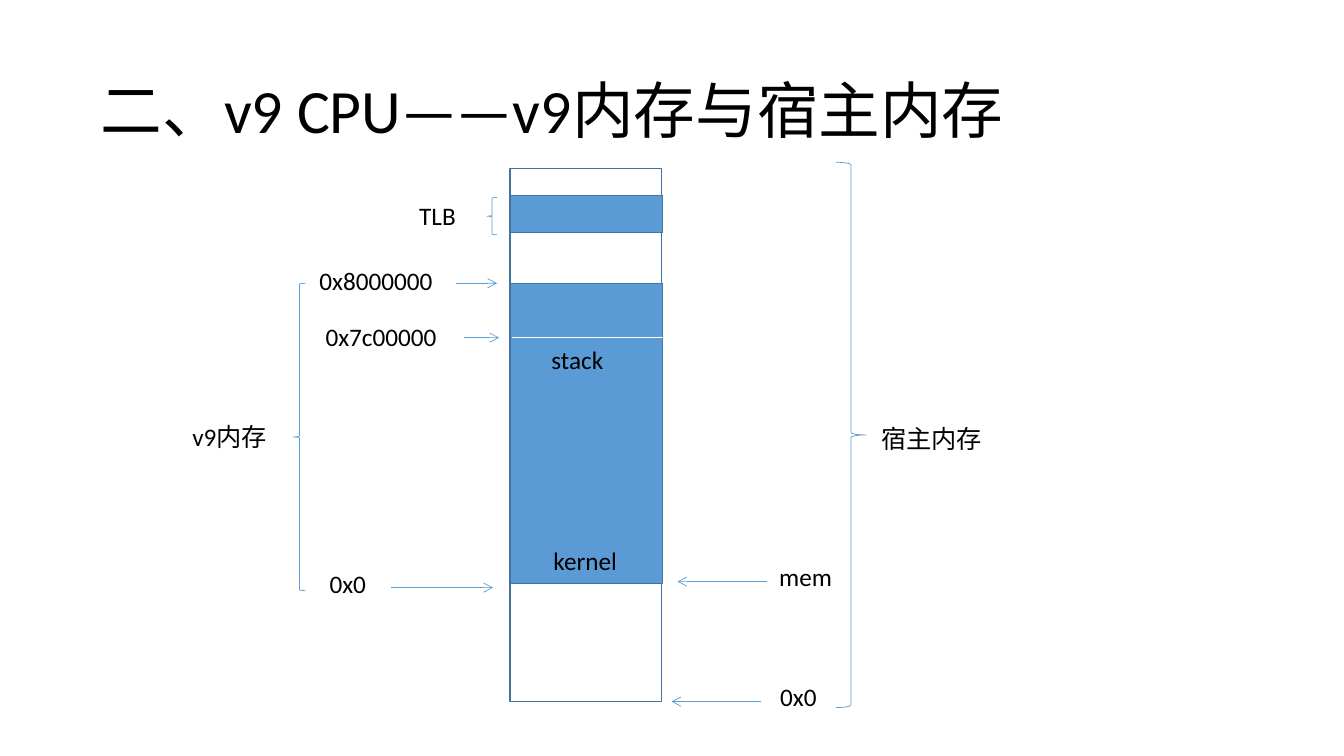
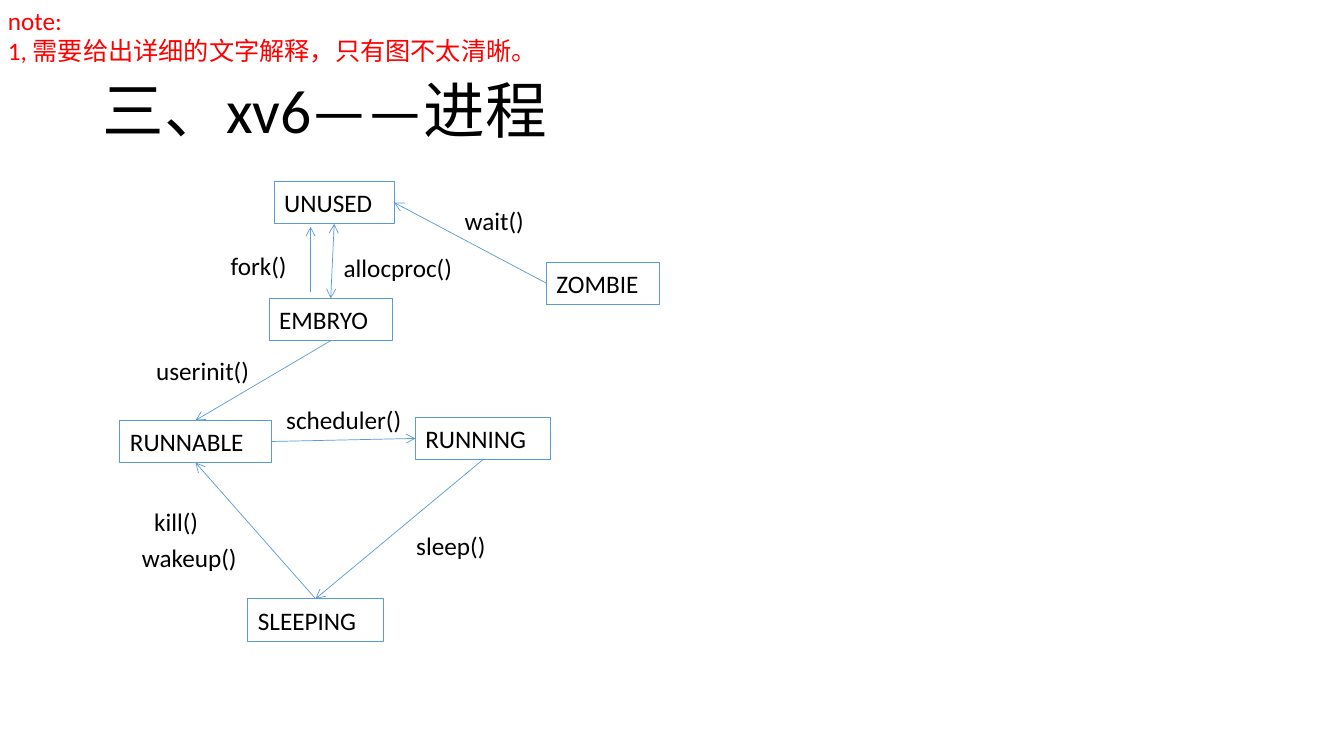
from pptx import Presentation
from pptx.dml.color import RGBColor
from pptx.enum import shapes as es, text as et
from pptx.oxml import parse_xml
from pptx.oxml.ns import nsdecls
from pptx.util import Inches, Pt

BLUE = RGBColor(0x5B, 0x9B, 0xD5)
NAVY = RGBColor(0x43, 0x73, 0x9E)
BLACK = RGBColor(0, 0, 0)
WHITE = RGBColor(255, 255, 255)
RED = RGBColor(255, 0, 0)
FORM = es.MSO_SHAPE
TOP, LEFT, BOTTOM, RIGHT = range(4)  # connection sites of a rectangle
ROW = 0.42                           # height of a one-line text

TITLE = dict(name="Calibri", size=Pt(44))
BODY = dict(name="Calibri", size=Pt(18))
FRAME = dict(word_wrap=True, auto_size=et.MSO_AUTO_SIZE.NONE)

# Slide 1: memory map
MAP_TITLE = "二、v9 CPU——v9内存与宿主内存"
BLOCKS = [  # left, top, width, height, fill
    (5.06, 1.67, 1.5, 5.29, None),
    (5.06, 2.81, 1.51, 2.98, BLUE),
    (5.06, 1.94, 1.51, 0.37, BLUE),
]
BRACES = [
    (FORM.RIGHT_BRACE, 8.29, 1.61, 0.3, 5.41),
    (FORM.LEFT_BRACE, 4.83, 1.96, 0.1, 0.37),
    (FORM.LEFT_BRACE, 2.91, 2.81, 0.12, 3.05),
]
MAP_TEXT = [  # text, left, top, width
    ("宿主内存", 8.64, 4.15, 1.3),
    ("v9内存", 1.81, 4.13, 0.97),
    ("0x8000000", 3.07, 2.58, 1.41),
    ("0x7c00000", 3.13, 3.14, 1.39),
    ("0x0", 3.17, 5.59, 0.6),
    ("stack", 5.37, 3.37, 0.76),
    ("kernel", 5.39, 5.36, 0.89),
    ("TLB", 4.06, 1.94, 0.63),
    ("mem", 7.63, 5.52, 0.77),
    ("0x0", 7.64, 6.71, 0.6),
]
MARKS = [  # from x, to x, y
    (3.88, 4.89, 5.83),
    (4.52, 4.93, 2.81),
    (4.6, 4.95, 3.35),
    (7.61, 6.72, 5.77),
    (7.55, 6.66, 6.96),
]

# Slide 2: process states
STATE_TITLE = "三、xv6——进程"
STATES = {  # left, top, width
    "UNUSED": (2.72, 1.8, 1.19),
    "EMBRYO": (2.67, 2.96, 1.22),
    "SLEEPING": (2.46, 5.94, 1.34),
    "RUNNING": (4.12, 4.14, 1.34),
    "RUNNABLE": (1.19, 4.17, 1.5),
    "ZOMBIE": (5.42, 2.6, 1.12),
}
MOVES = [  # from state, site, to state, site, arrowheads
    ("EMBRYO", BOTTOM, "RUNNABLE", TOP, ["tail"]),
    ("RUNNABLE", RIGHT, "RUNNING", LEFT, ["tail"]),
    ("RUNNING", BOTTOM, "SLEEPING", TOP, ["tail"]),
    ("UNUSED", BOTTOM, "EMBRYO", TOP, ["head", "tail"]),
    ("SLEEPING", TOP, "RUNNABLE", BOTTOM, ["tail"]),
    ("ZOMBIE", LEFT, "UNUSED", RIGHT, ["tail"]),
]
CALLS = [
    ("allocproc()", 3.31, 2.45, 1.39),
    ("userinit()", 1.45, 3.48, 1.21),
    ("scheduler()", 2.74, 3.96, 1.43),
    ("sleep()", 4.03, 5.21, 0.92),
    ("wakeup()", 1.31, 5.33, 1.23),
    ("kill()", 1.43, 4.97, 0.76),
    ("wait()", 4.51, 1.99, 0.85),
    ("fork()", 2.19, 2.43, 0.82),
]
NOTE = ["note:", "1, 需要给出详细的文字解释，只有图不太清晰。"]

deck = Presentation()
deck.slide_width, deck.slide_height = Inches(13.33), Inches(7.5)


# Shared parts
def put(obj, vals):
    for key, val in vals.items():
        setattr(obj, key, val)


def write(shape, lines, font=BODY, color=BLACK, space=None):
    frame = shape.text_frame
    put(frame, FRAME)
    for i, line in enumerate(lines):
        para = frame.add_paragraph() if i else frame.paragraphs[0]
        put(para, dict(alignment=et.PP_ALIGN.LEFT, line_spacing=space))
        run = para.add_run()
        run.text = line
        put(run.font, font)
        run.font.color.rgb = color


def page(title, left):
    slide = deck.slides.add_slide(deck.slide_layouts[5])
    head = slide.shapes.title
    put(head, dict(left=Inches(left), top=Inches(0.4),
                   width=Inches(11.5), height=Inches(1.45)))
    write(head, [title], TITLE, space=0.9)
    head.text_frame.vertical_anchor = et.MSO_ANCHOR.MIDDLE
    return slide


def label(slide, lines, left, top, width, high=ROW, color=BLACK):
    box = slide.shapes.add_textbox(*map(Inches, (left, top, width, high)))
    write(box, lines, color=color)


def draw(slide, form, at, color, weight, fill=None):
    shape = slide.shapes.add_shape(form, *map(Inches, at))
    shape.shadow.inherit = False
    if fill is None:
        shape.fill.background()
    else:
        shape.fill.solid()
        shape.fill.fore_color.rgb = fill
    shape.line.color.rgb = color
    shape.line.width = Pt(weight)
    return shape


def link(slide, ends=(0, 0, 0, 0), color=BLUE, tips=("tail",)):
    line = slide.shapes.add_connector(
        es.MSO_CONNECTOR.STRAIGHT, *map(Inches, ends))
    line.line.color.rgb = color
    line.line.width = Pt(0.5)
    for tip in tips:
        line.line._get_or_add_ln().append(
            parse_xml(f'<a:{tip}End {nsdecls("a")} type="arrow"/>'))
    line._element.spPr.append(parse_xml(f'<a:effectLst {nsdecls("a")}/>'))
    return line


# Memory map
slide = page(MAP_TITLE, 0.9)
for *at, fill in BLOCKS:
    draw(slide, FORM.RECTANGLE, at, NAVY, 1, fill)
for form, *at in BRACES:
    draw(slide, form, at, BLUE, 0.5)
for text, *at in MAP_TEXT:
    label(slide, [text], *at)
for start, end, y in MARKS:
    link(slide, (start, y, end, y))
link(slide, (5.08, 3.35, 6.59, 3.35), WHITE, ())

# Process states
slide = page(STATE_TITLE, 0.92)
nodes = {}
for name, at in STATES.items():
    nodes[name] = draw(slide, FORM.RECTANGLE, (*at, ROW), BLUE, 0.75)
    write(nodes[name], [name])
for start, out, end, into, tips in MOVES:
    line = link(slide, tips=tips)
    line.begin_connect(nodes[start], out)
    line.end_connect(nodes[end], into)
link(slide, (3.08, 2.9, 3.08, 2.25))
for text, *at in CALLS:
    label(slide, [text], *at)
label(slide, NOTE, -0.02, 0, 5.7, 0.72, RED)

deck.save("out.pptx")
